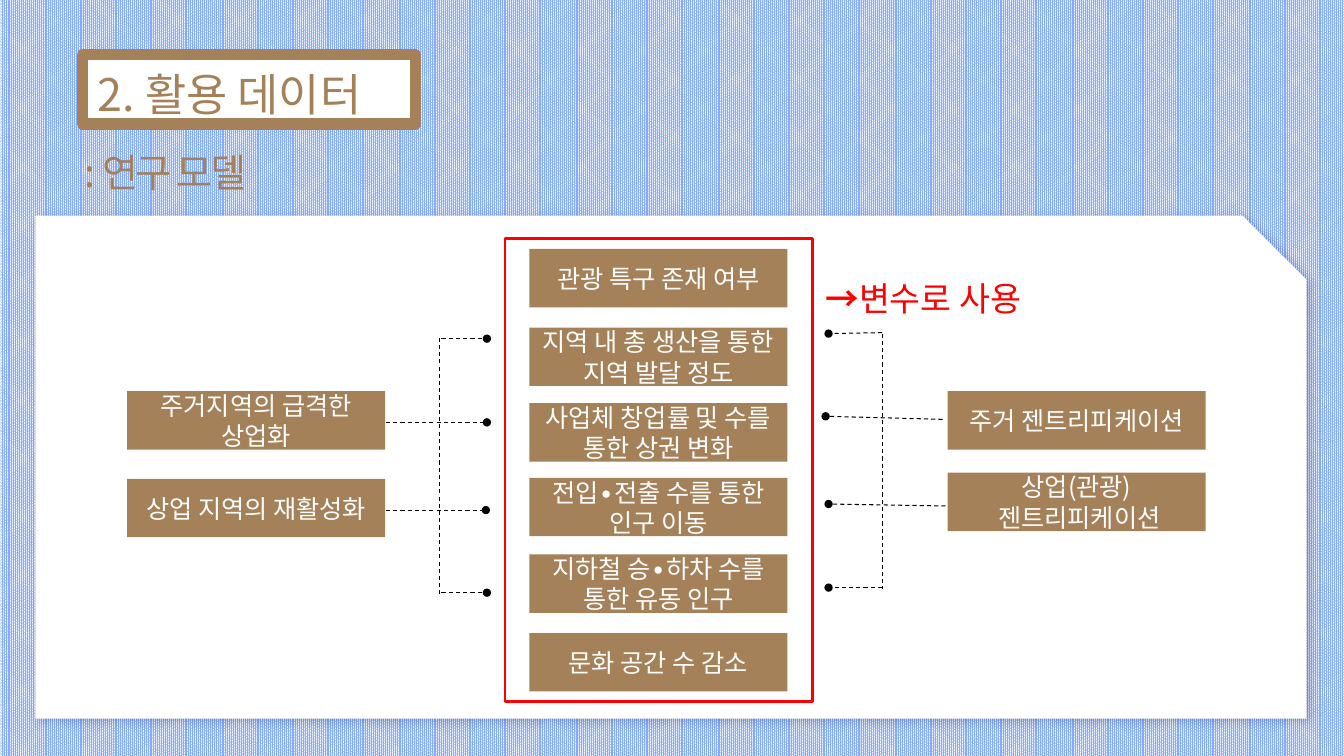
"""Build the research model slide with its variables and links."""
from lxml.etree import SubElement
from pptx import Presentation
from pptx.dml.color import RGBColor
from pptx.enum.dml import MSO_LINE, MSO_PATTERN
from pptx.enum.shapes import MSO_CONNECTOR, MSO_SHAPE
from pptx.enum.text import MSO_ANCHOR, MSO_AUTO_SIZE, PP_ALIGN
from pptx.oxml.ns import qn
from pptx.util import Inches, Pt

RECT, SNIP = MSO_SHAPE.RECTANGLE, MSO_SHAPE.SNIP_1_RECTANGLE
LINE, DASH = MSO_CONNECTOR.STRAIGHT, MSO_LINE.DASH
MID, MID_ROW = PP_ALIGN.CENTER, MSO_ANCHOR.MIDDLE
LEFT, GROW = PP_ALIGN.LEFT, MSO_AUTO_SIZE.SHAPE_TO_FIT_TEXT
DOTS = MSO_PATTERN.PERCENT_90
WHITE = RGBColor(0xFF, 0xFF, 0xFF)
BLACK = RGBColor(0, 0, 0)
BROWN = RGBColor(0xA5, 0x81, 0x59)
BLUE = RGBColor(0x85, 0xAB, 0xFF)
RED = RGBColor(0xFF, 0, 0)
FONT = "Noto Sans CJK KR"

deck = Presentation()
deck.slide_width, deck.slide_height = Inches(13.33), Inches(7.5)
COL, ROW = deck.slide_width / 100, deck.slide_height / 100
slide = deck.slides.add_slide(deck.slide_layouts[6])
back = slide.background.fill
back.patterned()
back.pattern = DOTS
back.fore_color.rgb, back.back_color.rgb = BLUE, WHITE


def draw(kind, x, y, w, h, fill=None, edge=None, width=0):
    """Add a shape placed in shares of the slide."""
    shape = slide.shapes.add_shape(
        kind, int(x * COL), int(y * ROW), int(w * COL), int(h * ROW))
    shape.shadow.inherit = False
    if fill is None:
        shape.fill.background()
    else:
        shape.fill.solid()
        shape.fill.fore_color.rgb = fill
    if edge is None:
        shape.line.fill.background()
    else:
        shape.line.color.rgb = edge
        shape.line.width = Pt(width)
    return shape


def write(para, text, size, color, bold=False, gap=0):
    """Add a run of text to a paragraph."""
    run = para.add_run()
    run.text = text
    look = {"name": FONT, "size": Pt(size), "bold": bold}
    for key, value in look.items():
        setattr(run.font, key, value)
    run.font.color.rgb = color
    props = run.font._element
    SubElement(props, qn("a:ea"), typeface=FONT)
    if gap:
        props.set("spc", str(gap))


panel = draw(SNIP, 2.63, 28.53, 94.58, 66.53, WHITE)
panel.adjustments[0] = 0.127
glow = SubElement(panel._element.spPr.find(qn("a:effectLst")),
                  qn("a:outerShdw"), blurRad=str(Pt(8)), dist=str(Pt(3)),
                  dir="2700000", algn="tl", rotWithShape="0")
tint = SubElement(glow, qn("a:srgbClr"), val="000000")
SubElement(tint, qn("a:alpha"), val="22000")

groups = [
    (39.38, [(32.93, "관광 특구 존재 여부"),
             (43.33, "지역 내 총 생산을 통한 지역 발달 정도"),
             (53.33, "사업체 창업률 및 수를 통한 상권 변화"),
             (63.2, "전입∙전출 수를 통한 인구 이동"),
             (73.33, "지하철 승∙하차 수를 통한 유동 인구"),
             (83.73, "문화 공간 수 감소")]),
    (70.5, [(51.73, "주거 젠트리피케이션"),
            (62.53, "상업(관광)\n 젠트리피케이션")]),
    (9.45, [(51.73, "주거지역의 급격한 상업화"),
            (63.33, "상업 지역의 재활성화")]),
]
for x, items in groups:
    for y, text in items:
        frame = draw(RECT, x, y, 19.2, 7.73, BROWN).text_frame
        frame.word_wrap, frame.vertical_anchor = True, MID_ROW
        for i, part in enumerate(text.split("\n")):
            para = frame.add_paragraph() if i else frame.paragraphs[0]
            para.alignment = MID
            write(para, part, 18, WHITE)

links = [
    (28.72, 55.87, 36.23, 55.87, True),
    (32.7, 44.67, 32.7, 78.53, False),
    (32.85, 44.8, 36.23, 44.8, True),
    (32.85, 78.4, 36.23, 78.4, True),
    (70.13, 55.47, 61.43, 55.07, True),
    (65.63, 44.13, 65.63, 77.87, False),
    (65.63, 44, 61.65, 44.13, True),
    (65.63, 77.73, 61.65, 77.73, True),
    (28.72, 67.47, 36.15, 67.47, True),
    (70.35, 66.93, 61.65, 66.67, True),
]
for x1, y1, x2, y2, dot in links:
    link = slide.shapes.add_connector(
        LINE, int(x1 * COL), int(y1 * ROW), int(x2 * COL), int(y2 * ROW))
    link.line.color.rgb = BLACK
    for key, value in {"width": Pt(0.75), "dash_style": DASH}.items():
        setattr(link.line, key, value)
    if dot:
        SubElement(link.line._get_or_add_ln(), qn("a:tailEnd"), type="oval")
    SubElement(link._element.spPr, qn("a:effectLst"))

draw(RECT, 37.58, 31.6, 22.88, 61.2, None, RED, 2)
title = draw(RECT, 6.15, 7.2, 24.75, 9.2, WHITE, BROWN, 8)
SubElement(title.line._get_or_add_ln(), qn("a:round"))

notes = [
    (60.68, 36.13, 17.1, 6.67, True,
     [("→", 24, RED, True), ("변수로 사용", 24, RED)]),
    (6.53, 8.13, 23.85, 8.53, False, [("2. 활용 데이터", 32, BROWN)]),
    (5.55, 18.93, 52.8, 7.6, True, [(": 연구 모델", 28, BROWN, False, -150)]),
]
for x, y, w, h, wrap, runs in notes:
    frame = slide.shapes.add_textbox(
        int(x * COL), int(y * ROW), int(w * COL), int(h * ROW)).text_frame
    for key, value in {"word_wrap": wrap, "auto_size": GROW}.items():
        setattr(frame, key, value)
    frame.paragraphs[0].alignment = LEFT
    for run in runs:
        write(frame.paragraphs[0], *run)

deck.save("out.pptx")
